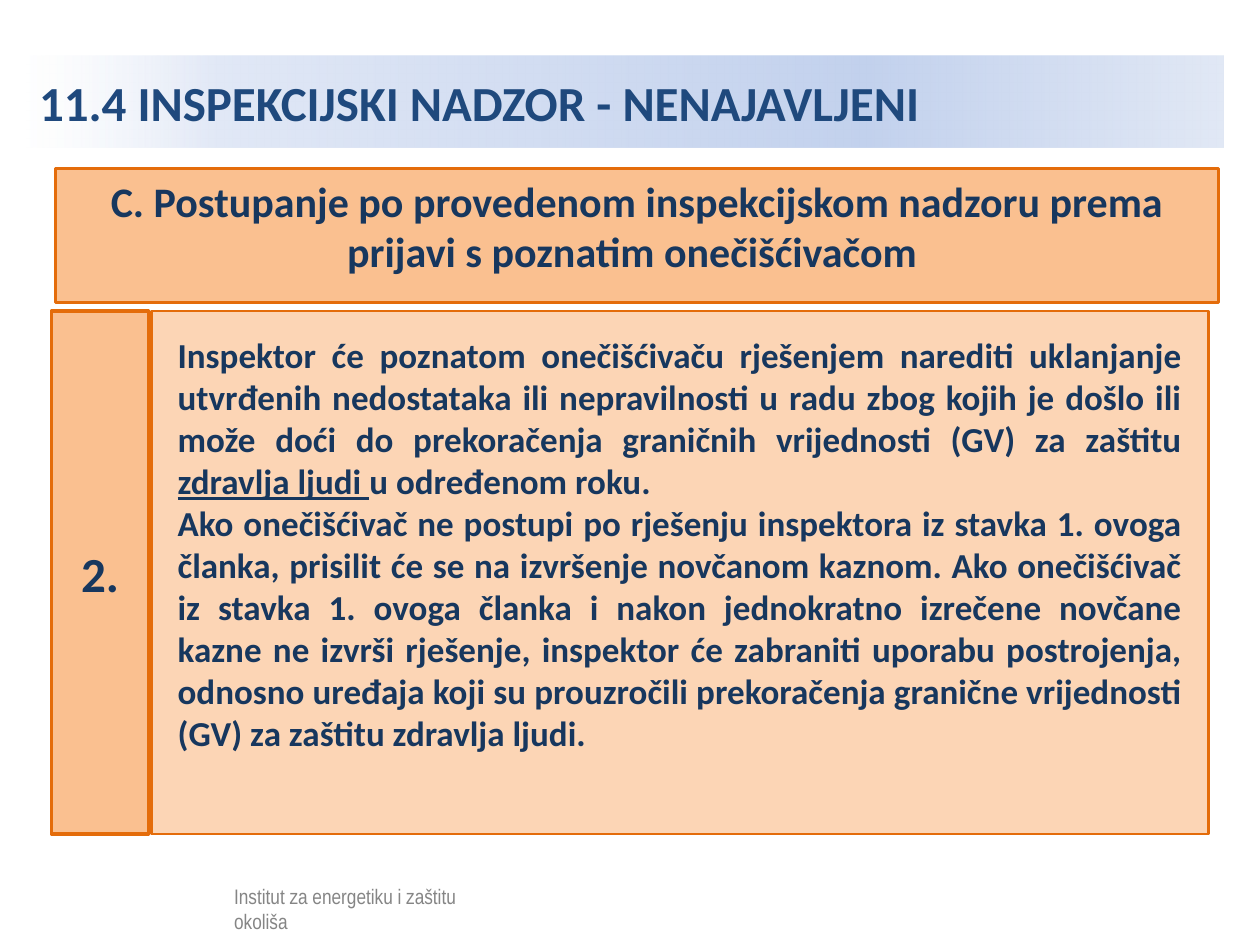
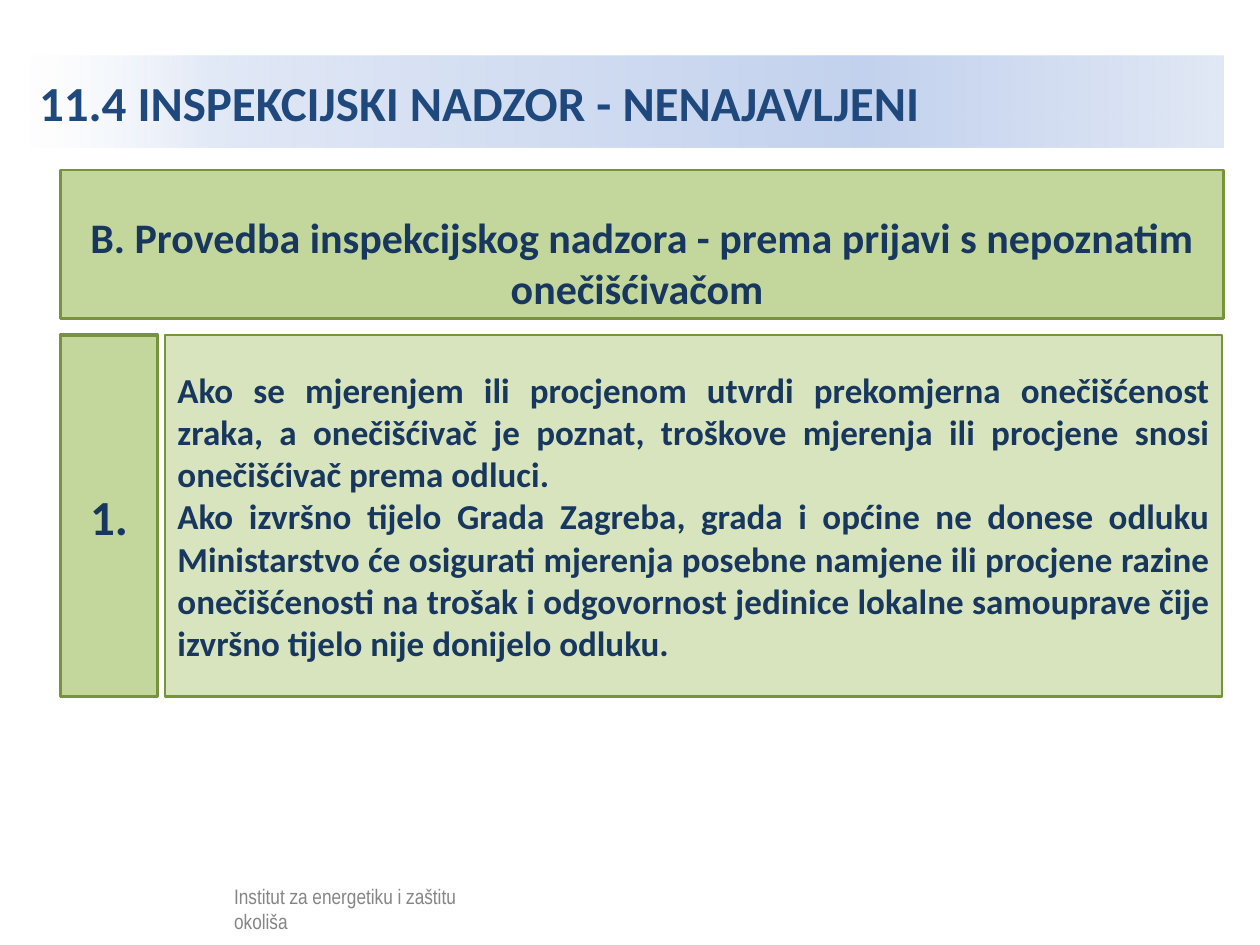
from dataclasses import dataclass

from lxml import etree
from pptx import Presentation, util as u
from pptx.dml.color import RGBColor
from pptx.enum import shapes, text
from pptx.oxml import parse_xml
from pptx.oxml.ns import nsdecls, qn

SLIDE_W, SLIDE_H = u.Inches(10), u.Inches(7.5)
TITLE = "11.4 INSPEKCIJSKI NADZOR - NENAJAVLJENI"
FOOTER = "Institut za energetiku i zaštitu okoliša"
TITLE_BLUE, NAVY, WHITE = "1F497D", "17375E", "FFFFFF"
TITLE_STOPS = [(0, WHITE, 52), (16, "E1E8F6", 100), (70, "C2D1ED", 100), (100, "E1E8F5", 100)]
NUMBER_W, BODY_W, HEADING_W = 7.7, 83.9, 92.3
CENTER, JUSTIFY = text.PP_ALIGN.CENTER, text.PP_ALIGN.JUSTIFY
TOP, MIDDLE, BOTTOM = text.MSO_ANCHOR.TOP, text.MSO_ANCHOR.MIDDLE, text.MSO_ANCHOR.BOTTOM


@dataclass
class Scheme:
    """Colours of one topic."""
    strong: str
    pale: str
    edge: str


ORANGE = Scheme("FAC090", "FCD5B5", "E46C0A")
GREEN = Scheme("C3D69B", "D7E4BD", "77933C")


def color(hex_code):
    """Turn a hex string into a colour."""
    return RGBColor.from_string(hex_code)


def area(left, top, width, height):
    """Convert percentages of the slide into lengths."""
    return (int(SLIDE_W * left / 100), int(SLIDE_H * top / 100),
            int(SLIDE_W * width / 100), int(SLIDE_H * height / 100))


def style(paragraph, size, hex_code, align=None, bold=True, face="Calibri"):
    """Format a whole paragraph."""
    paragraph.alignment = align
    font = paragraph.font
    font.name, font.size, font.bold = face, u.Pt(size), bold
    font.color.rgb = color(hex_code)


def add_title(slide):
    """Place the title on its gradient band."""
    title = slide.shapes.title
    title.left, title.top, title.width, title.height = area(2.1, 5.87, 95, 9.73)
    stops = "".join(
        f'<a:gs pos="{pos * 1000}"><a:srgbClr val="{hex_code}">'
        f'<a:alpha val="{alpha * 1000}"/></a:srgbClr></a:gs>'
        for pos, hex_code, alpha in TITLE_STOPS)
    title._element.spPr.append(parse_xml(
        f'<a:gradFill {nsdecls("a")} rotWithShape="1"><a:gsLst>{stops}</a:gsLst>'
        '<a:lin ang="0" scaled="1"/></a:gradFill>'))
    frame = title.text_frame
    frame.text = TITLE
    frame.vertical_anchor = MIDDLE
    heading = frame.paragraphs[0]
    style(heading, 28, TITLE_BLUE, text.PP_ALIGN.LEFT)
    props = heading._p.get_or_add_pPr()
    props.set("marL", str(u.Inches(0.98)))
    props.set("indent", str(-u.Inches(0.98)))


def add_footer(slide):
    """Write the institute name under a translucent white veil."""
    group = slide.shapes.add_group_shape()
    label = group.shapes.add_textbox(*area(17.6, 92.8, 20.9, 3.33))
    label.text_frame.word_wrap = True
    label.text_frame.text = FOOTER
    style(label.text_frame.paragraphs[0], 12, "000000", bold=False, face="Arial Narrow")
    veil = group.shapes.add_shape(shapes.MSO_SHAPE.RECTANGLE, *area(4.1, 92.4, 38.2, 6.4))
    veil.shadow.inherit = False
    veil.fill.solid()
    veil.fill.fore_color.rgb = color(WHITE)
    veil.line.fill.background()
    tint = veil._element.spPr.find(f'{qn("a:solidFill")}/{qn("a:srgbClr")}')
    etree.SubElement(tint, qn("a:alpha")).set("val", "52000")


def add_panel(slide, place, fill, edge, paragraphs, size,
              align=CENTER, anchor=MIDDLE, weight=1.5, side_inset=0.1, top_inset=0.05):
    """Draw a framed panel; each paragraph is a list of (text, underlined) runs."""
    panel = slide.shapes.add_shape(shapes.MSO_SHAPE.RECTANGLE, *area(*place))
    panel.shadow.inherit = False
    panel.fill.solid()
    panel.fill.fore_color.rgb = color(fill)
    panel.line.color.rgb = color(edge)
    panel.line.width = u.Pt(weight)
    frame = panel.text_frame
    frame.word_wrap = True
    frame.vertical_anchor = anchor
    frame.margin_left = frame.margin_right = u.Inches(side_inset)
    frame.margin_top = u.Inches(top_inset)
    for index, runs in enumerate(paragraphs):
        paragraph = frame.add_paragraph() if index else frame.paragraphs[0]
        style(paragraph, size, NAVY, align)
        for words, underlined in runs:
            run = paragraph.add_run()
            run.text = words
            if underlined:
                run.font.underline = True


def add_step(slide, scheme, left, top, height, gap, number, paragraphs, **body_format):
    """Draw a numbered cell with its explanation beside it."""
    add_panel(slide, (left, top, NUMBER_W, height), scheme.strong, scheme.edge,
              [[(number, False)]], 28, weight=2)
    add_panel(slide, (left + NUMBER_W + gap, top, BODY_W, height), scheme.pale,
              scheme.edge, paragraphs, 20, align=JUSTIFY, **body_format)


def add_topic(deck, scheme, heading, place, anchor):
    """Start a slide with title, footer and topic heading."""
    slide = deck.slides.add_slide(deck.slide_layouts[5])
    add_title(slide)
    add_footer(slide)
    left, top, height = place
    add_panel(slide, (left, top, HEADING_W, height), scheme.strong, scheme.edge,
              [[(heading, False)]], 24, anchor=anchor)
    return slide


def main():
    """Build and save the slides."""
    deck = Presentation()
    deck.slide_width, deck.slide_height = SLIDE_W, SLIDE_H

    known = add_topic(
        deck, ORANGE,
        "C. Postupanje po provedenom inspekcijskom nadzoru prema prijavi s poznatim "
        "onečišćivačom ", (4.4, 17.87, 14.13), TOP)
    add_step(known, ORANGE, 4.1, 32.93, 55.33, 0.2, "2.", [
        [("Inspektor će poznatom onečišćivaču rješenjem narediti uklanjanje utvrđenih "
          "nedostataka ili nepravilnosti u radu zbog kojih je došlo ili može doći do "
          "prekoračenja graničnih vrijednosti (GV) za zaštitu ", False),
         ("zdravlja ljudi ", True),
         ("u određenom roku. ", False)],
        [("Ako onečišćivač ne postupi po rješenju inspektora iz stavka 1. ovoga članka, "
          "prisilit će se na izvršenje novčanom kaznom. Ako onečišćivač iz stavka 1. "
          "ovoga članka i nakon jednokratno izrečene novčane kazne ne izvrši rješenje, "
          "inspektor će zabraniti uporabu postrojenja, odnosno uređaja koji su "
          "prouzročili prekoračenja granične vrijednosti (GV) za zaštitu zdravlja "
          "ljudi.", False)],
    ], anchor=TOP, side_inset=0.21, top_inset=0.18)

    unknown = add_topic(
        deck, GREEN,
        "B. Provedba inspekcijskog nadzora - prema prijavi s nepoznatim onečišćivačom ",
        (4.8, 18, 15.73), BOTTOM)
    add_step(unknown, GREEN, 4.8, 35.47, 38.27, 0.6, "1.", [
        [("Ako se mjerenjem ili procjenom utvrdi prekomjerna onečišćenost zraka, a "
          "onečišćivač je poznat, troškove mjerenja ili procjene snosi onečišćivač "
          "prema odluci. ", False)],
        [("Ako izvršno tijelo Grada Zagreba, grada i općine ne donese odluku "
          "Ministarstvo će osigurati mjerenja posebne namjene ili procjene razine "
          "onečišćenosti na trošak i odgovornost jedinice lokalne samouprave čije "
          "izvršno tijelo nije donijelo odluku.", False)],
    ])

    deck.save("out.pptx")


if __name__ == "__main__":
    main()
